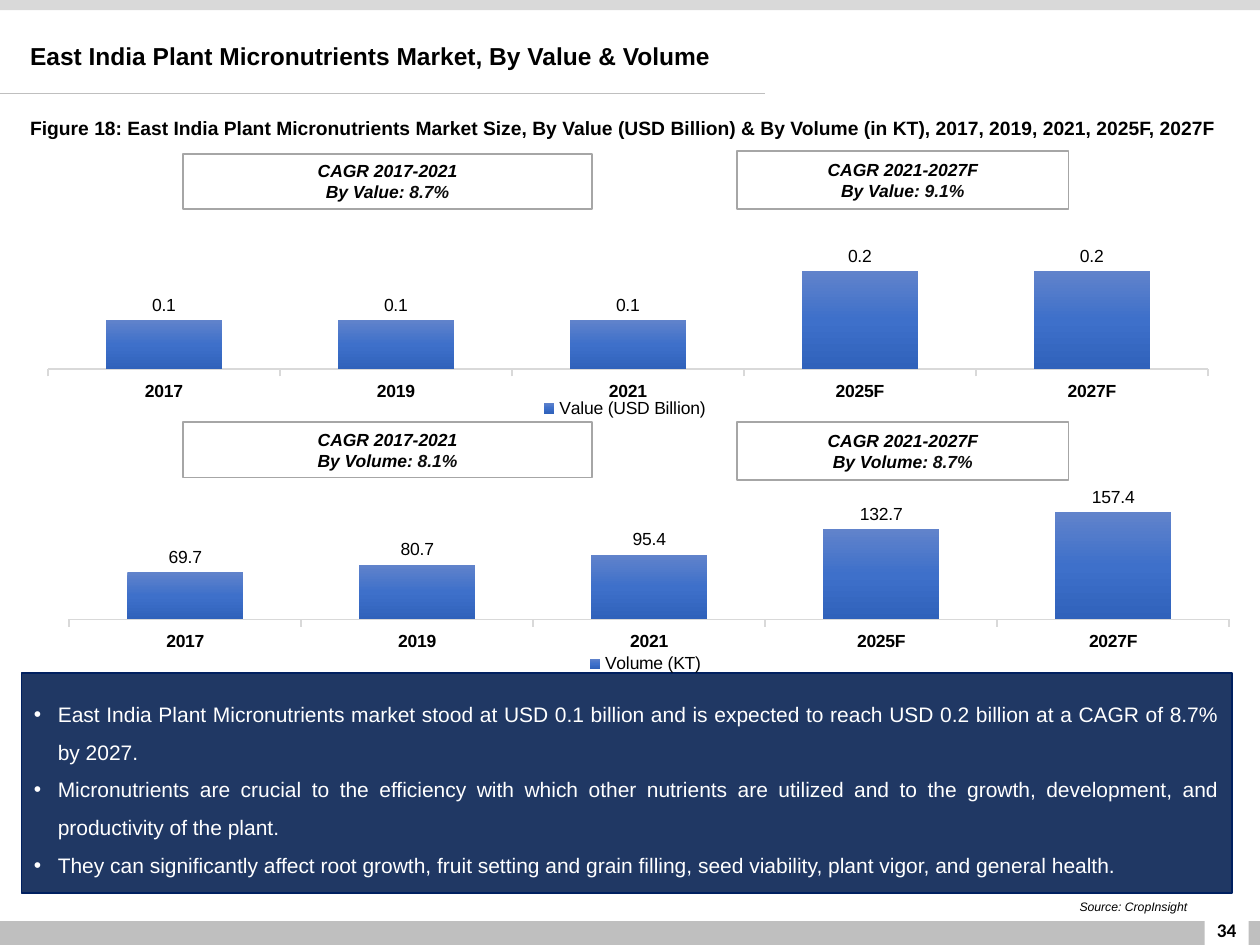
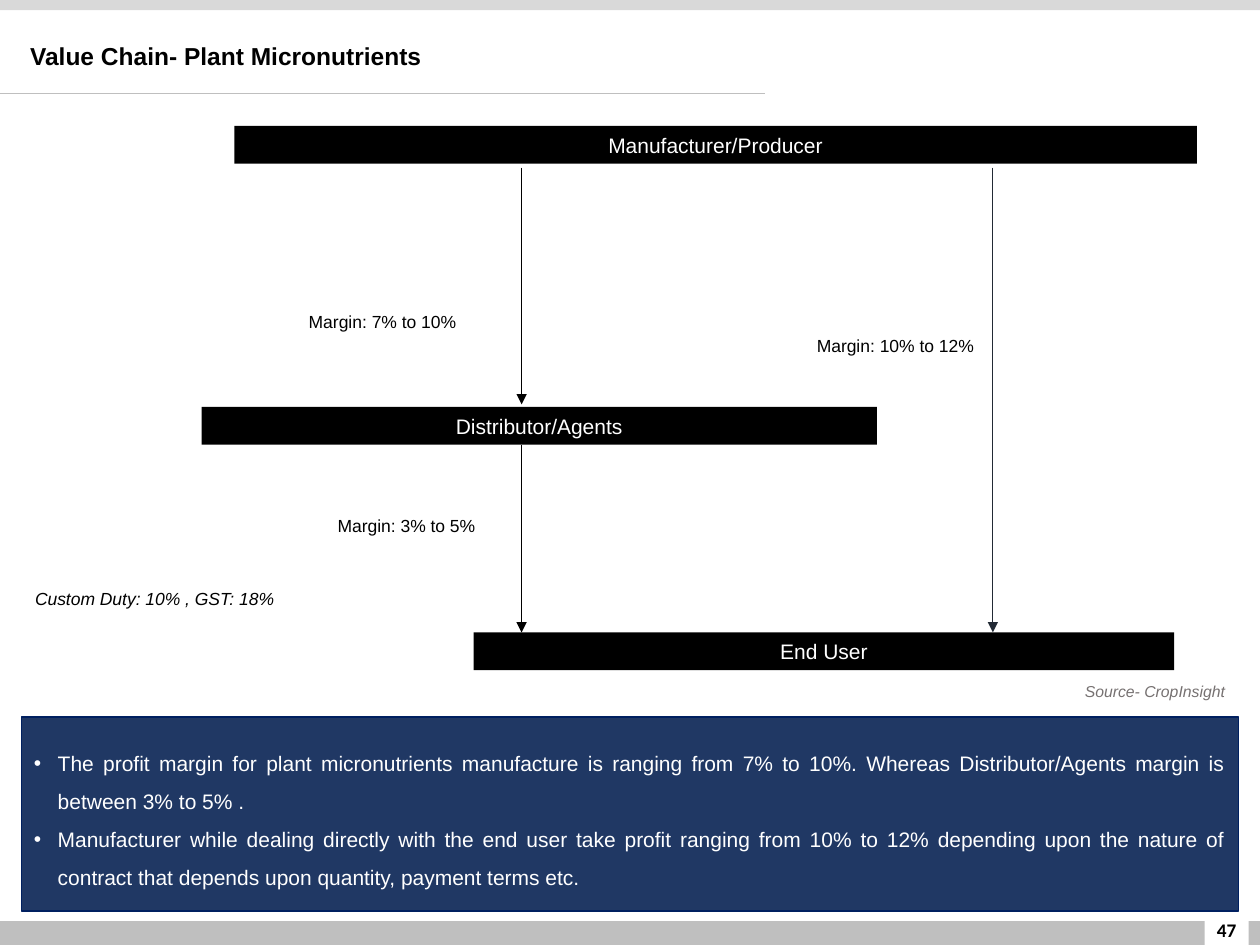
import copy

import lxml.etree
import pptx
import pptx.chart.data
import pptx.dml.color
import pptx.enum.chart
import pptx.enum.shapes
import pptx.enum.text
import pptx.oxml.ns
import pptx.util

Inches = pptx.util.Inches
Pt = pptx.util.Pt
qn = pptx.oxml.ns.qn
ALIGN = pptx.enum.text.PP_ALIGN
ANCHOR = pptx.enum.text.MSO_ANCHOR

BLACK, WHITE = "000000", "FFFFFF"
NAVY, NAVY_EDGE = "203864", "002060"
BAND, TOP_BAND, BOX_EDGE = "BFBFBF", "D9D9D9", "A6A6A6"
FIGURE_TEXT, SOURCE_GRAY, DIRECT_ARROW = "0D0D0D", "767171", "222A35"
BAR_GRADIENT = [(0, "6183CB"), (0.5, "3E70CA"), (1, "3062BB")]
YEARS = ["2017", "2019", "2021", "2025F", "2027F"]


def rgb(value):
    """Turn a hex string into a colour."""
    return pptx.dml.color.RGBColor.from_string(value)


def assign(target, values):
    """Set each named attribute on the target."""
    for name, value in values.items():
        setattr(target, name, value)


def set_font(font, size, color=BLACK, name="Arial", **flags):
    """Style a font."""
    assign(font, {"size": Pt(size), "name": name, **flags})
    font.color.rgb = rgb(color)


class Report:
    """Hold the report style and the current slide."""

    def __init__(self):
        """Start an empty 10 by 7.5 inch deck."""
        self.deck = pptx.Presentation()
        assign(self.deck, {"slide_width": Inches(10), "slide_height": Inches(7.5)})
        self.slide = None

    def new_slide(self, title, number):
        """Add a slide with its bands, rule, page number and title."""
        self.slide = self.deck.slides.add_slide(self.deck.slide_layouts[6])
        self.box(0, 7.31, 10, 0.19, BAND)
        self.box(0, 0, 10, 0.08, TOP_BAND)
        self.box(9.56, 7.13, 0.35, 0.37, WHITE)
        self.text(9.49, 7.22, 0.49, 0.32, number, 11, name="Calibri", bold=True,
                  align=ALIGN.CENTER, anchor=ANCHOR.MIDDLE)
        self.line(0, 0.74, 6.07, 0.74, BAND)
        self.text(0.14, 0.21, 8.11, 0.5, title, 14, bold=True, spacing=0.9,
                  anchor=ANCHOR.MIDDLE)

    def box(self, left, top, width, height, fill, edge=None):
        """Add a plain rectangle."""
        shape = self.slide.shapes.add_shape(
            pptx.enum.shapes.MSO_SHAPE.RECTANGLE,
            Inches(left), Inches(top), Inches(width), Inches(height))
        shape.shadow.inherit = False
        shape.fill.solid()
        shape.fill.fore_color.rgb = rgb(fill)
        if edge:
            shape.line.color.rgb = rgb(edge)
            shape.line.width = Pt(1)
        else:
            shape.line.fill.background()
        return shape

    def fill_text(self, frame, paragraphs, size, color=BLACK, align=ALIGN.LEFT,
                  anchor=ANCHOR.TOP, spacing=1.0, bullet=False, **font):
        """Fill a text frame; a paragraph is a list of (text, colour) runs."""
        assign(frame, {"word_wrap": True, "vertical_anchor": anchor})
        for index, runs in enumerate(paragraphs):
            paragraph = frame.add_paragraph() if index else frame.paragraphs[0]
            if bullet:
                properties = paragraph._p.get_or_add_pPr()
                properties.set("marL", str(Inches(0.19)))
                properties.set("indent", str(Inches(-0.19)))
                lxml.etree.SubElement(properties, qn("a:buFont")).set("typeface", "Arial")
                lxml.etree.SubElement(properties, qn("a:buChar")).set("char", "•")
            assign(paragraph, {"alignment": align, "line_spacing": spacing})
            for words, run_color in runs:
                run = paragraph.add_run()
                run.text = words
                set_font(run.font, size, run_color or color, **font)

    def text(self, left, top, width, height, words, size, **style):
        """Add a one-paragraph text box."""
        label = self.slide.shapes.add_textbox(
            Inches(left), Inches(top), Inches(width), Inches(height))
        self.fill_text(label.text_frame, [[(words, None)]], size, **style)

    def growth(self, left, top, width, height, period, measure, rate):
        """Add a framed growth-rate note."""
        note = self.box(left, top, width, height, WHITE, BOX_EDGE)
        lines = [[(f"CAGR {period}", None)], [(f"By {measure}: ", None), (rate, FIGURE_TEXT)]]
        self.fill_text(note.text_frame, lines, 10, align=ALIGN.CENTER,
                       anchor=ANCHOR.MIDDLE, bold=True, italic=True)

    def panel(self, top, width, height, findings):
        """Add the navy panel of bulleted findings."""
        panel = self.box(0.17, top, width, height, NAVY, NAVY_EDGE)
        self.fill_text(panel.text_frame, [[(finding, None)] for finding in findings], 12,
                       color=WHITE, align=ALIGN.JUSTIFY, anchor=ANCHOR.MIDDLE,
                       spacing=1.5, bullet=True)

    def stage(self, left, top, width, name):
        """Add a black bar for one stage of the value chain."""
        bar = self.box(left, top, width, 0.3, BLACK)
        self.fill_text(bar.text_frame, [[(name, None)]], 12, color=WHITE, align=ALIGN.CENTER)

    def line(self, x1, y1, x2, y2, color, arrow=False):
        """Add a thin straight line, with an arrowhead if asked."""
        connector = self.slide.shapes.add_connector(
            pptx.enum.shapes.MSO_CONNECTOR.STRAIGHT,
            Inches(x1), Inches(y1), Inches(x2), Inches(y2))
        connector.line.color.rgb = rgb(color)
        connector.line.width = Pt(0.5)
        if arrow:
            outline = connector._element.spPr.find(qn("a:ln"))
            lxml.etree.SubElement(outline, qn("a:tailEnd")).set("type", "triangle")
        lxml.etree.SubElement(connector._element.spPr, qn("a:effectLst"))

    def place(self, parent, position, **layout):
        """Give a chart part a manual layout."""
        for old in parent.findall(qn("c:layout")):
            parent.remove(old)
        holder = lxml.etree.Element(qn("c:layout"))
        manual = lxml.etree.SubElement(holder, qn("c:manualLayout"))
        for tag, value in layout.items():
            lxml.etree.SubElement(manual, qn(f"c:{tag}")).set("val", str(value))
        parent.insert(position, holder)

    def columns(self, left, top, name, values, maximum, plot_top, legend_left):
        """Add a column chart with gradient bars."""
        data = pptx.chart.data.CategoryChartData(number_format="0.0")
        data.categories = YEARS
        data.add_series(name, values)
        chart = self.slide.shapes.add_chart(
            pptx.enum.chart.XL_CHART_TYPE.COLUMN_CLUSTERED,
            Inches(left), Inches(top), Inches(9.61), Inches(1.99), data).chart
        assign(chart, {"has_title": False, "has_legend": True})
        set_font(chart.font, 9)
        background = lxml.etree.Element(qn("c:spPr"))
        lxml.etree.SubElement(background, qn("a:noFill"))
        border = lxml.etree.SubElement(background, qn("a:ln"))
        lxml.etree.SubElement(border, qn("a:noFill"))
        chart._chartSpace.find(qn("c:chart")).addnext(background)

        assign(chart.legend, {"position": pptx.enum.chart.XL_LEGEND_POSITION.BOTTOM,
                              "include_in_layout": False})
        set_font(chart.legend.font, 10)
        self.place(chart.legend._element, 1, xMode="edge", yMode="edge",
                   x=legend_left, y=0.84)
        self.place(chart._chartSpace.find(".//" + qn("c:plotArea")), 0,
                   layoutTarget="inner", xMode="edge", yMode="edge",
                   x=0.025, y=plot_top, w=0.958, h=0.488)

        tick = pptx.enum.chart.XL_TICK_MARK
        years = chart.category_axis
        assign(years, {"major_tick_mark": tick.OUTSIDE, "has_major_gridlines": False})
        set_font(years.tick_labels.font, 10, bold=True)
        years.format.line.color.rgb = rgb(TOP_BAND)
        years.format.line.width = Pt(1)
        scale = chart.value_axis
        assign(scale, {"minimum_scale": 0, "maximum_scale": maximum,
                       "has_major_gridlines": False, "major_tick_mark": tick.OUTSIDE,
                       "tick_label_position": pptx.enum.chart.XL_TICK_LABEL_POSITION.NONE})
        scale.format.line.fill.background()

        plot = chart.plots[0]
        assign(plot, {"gap_width": 100, "vary_by_categories": False, "has_data_labels": True})
        assign(plot.data_labels, {
            "show_value": True, "number_format": "0.0", "number_format_is_linked": False,
            "position": pptx.enum.chart.XL_LABEL_POSITION.OUTSIDE_END})
        set_font(plot.data_labels.font, 10)
        bars = plot.series[0]
        bars.invert_if_negative = False
        fill = bars.format.fill
        fill.gradient()
        fill.gradient_angle = 270
        stops = bars._element.find(".//" + qn("a:gsLst"))
        stops.insert(1, copy.deepcopy(stops[0]))
        for stop, (position, color) in zip(fill.gradient_stops, BAR_GRADIENT):
            stop.position = position
            stop.color.rgb = rgb(color)


def market_slide(report):
    """Build the market size slide."""
    report.new_slide("East India Plant Micronutrients Market, By Value & Volume", "34")
    report.panel(5.34, 9.61, 1.75, [
        "East India Plant Micronutrients market stood at USD 0.1 billion and is expected "
        "to reach USD 0.2 billion at a CAGR of 8.7% by 2027.",
        "Micronutrients are crucial to the efficiency with which other nutrients are "
        "utilized and to the growth, development, and productivity of the plant.",
        "They can significantly affect root growth, fruit setting and grain filling, "
        "seed viability, plant vigor, and general health."])
    report.text(7.94, 7.09, 1.58, 0.22, "Source: CropInsight", 7, italic=True,
                align=ALIGN.RIGHT)
    report.text(0.14, 0.78, 9.8, 0.34,
                "Figure 18: East India Plant Micronutrients Market Size, By Value (USD Billion) "
                "& By Volume (in KT), 2017, 2019, 2021, 2025F, 2027F",
                11, bold=True, spacing=1.5)
    report.columns(0.14, 1.45, "Value (USD Billion)", [0.1, 0.1, 0.1, 0.2, 0.2],
                   0.25, 0.255, 0.43)
    report.columns(0.31, 3.48, "Volume (KT)", [69.7, 80.7, 95.4, 132.7, 157.4],
                   180, 0.234, 0.45)
    for measure, past_top, next_top, past_rate, next_rate in [
            ("Value", 1.22, 1.2, "8.7%", "9.1%"), ("Volume", 3.35, 3.35, "8.1%", "8.7%")]:
        report.growth(1.45, past_top, 3.25, 0.44, "2017-2021", measure, past_rate)
        report.growth(5.85, next_top, 2.63, 0.46, "2021-2027F", measure, next_rate)


def value_chain_slide(report):
    """Build the value chain slide."""
    report.new_slide("Value Chain- Plant Micronutrients", "47")
    report.panel(5.69, 9.66, 1.54, [
        "The profit margin for plant micronutrients manufacture is ranging from 7% to 10%. "
        "Whereas Distributor/Agents margin is between 3% to 5% .",
        "Manufacturer while dealing directly with the end user take profit ranging from "
        "10% to 12% depending upon the nature of contract that depends upon quantity, "
        "payment terms etc."])
    for left, top, width, name in [(1.86, 1, 7.64, "Manufacturer/Producer"),
                                   (1.6, 3.23, 5.36, "Distributor/Agents"),
                                   (3.76, 5.02, 5.56, "End User")]:
        report.stage(left, top, width, name)
    for x, start, end, color in [(7.88, 1.33, 5.02, DIRECT_ARROW),
                                 (4.14, 1.33, 3.21, BLACK), (4.14, 3.53, 5.02, BLACK)]:
        report.line(x, start, x, end, color, arrow=True)
    for left, top, margin in [(6.05, 2.61, "10% to 12%"), (1.98, 2.42, "7% to 10%"),
                              (2.17, 4.04, "3% to 5%")]:
        report.text(left, top, 2.11, 0.27, f"Margin: {margin}", 10, align=ALIGN.CENTER)
    report.text(0.18, 4.62, 2.57, 0.27, "Custom Duty: 10% , GST: 18%", 10, italic=True)
    report.text(7.79, 5.36, 2.03, 0.25, "Source- CropInsight", 9, color=SOURCE_GRAY,
                italic=True, align=ALIGN.RIGHT)


def main():
    """Build and save the deck."""
    report = Report()
    market_slide(report)
    value_chain_slide(report)
    report.deck.save("out.pptx")


if __name__ == "__main__":
    main()
